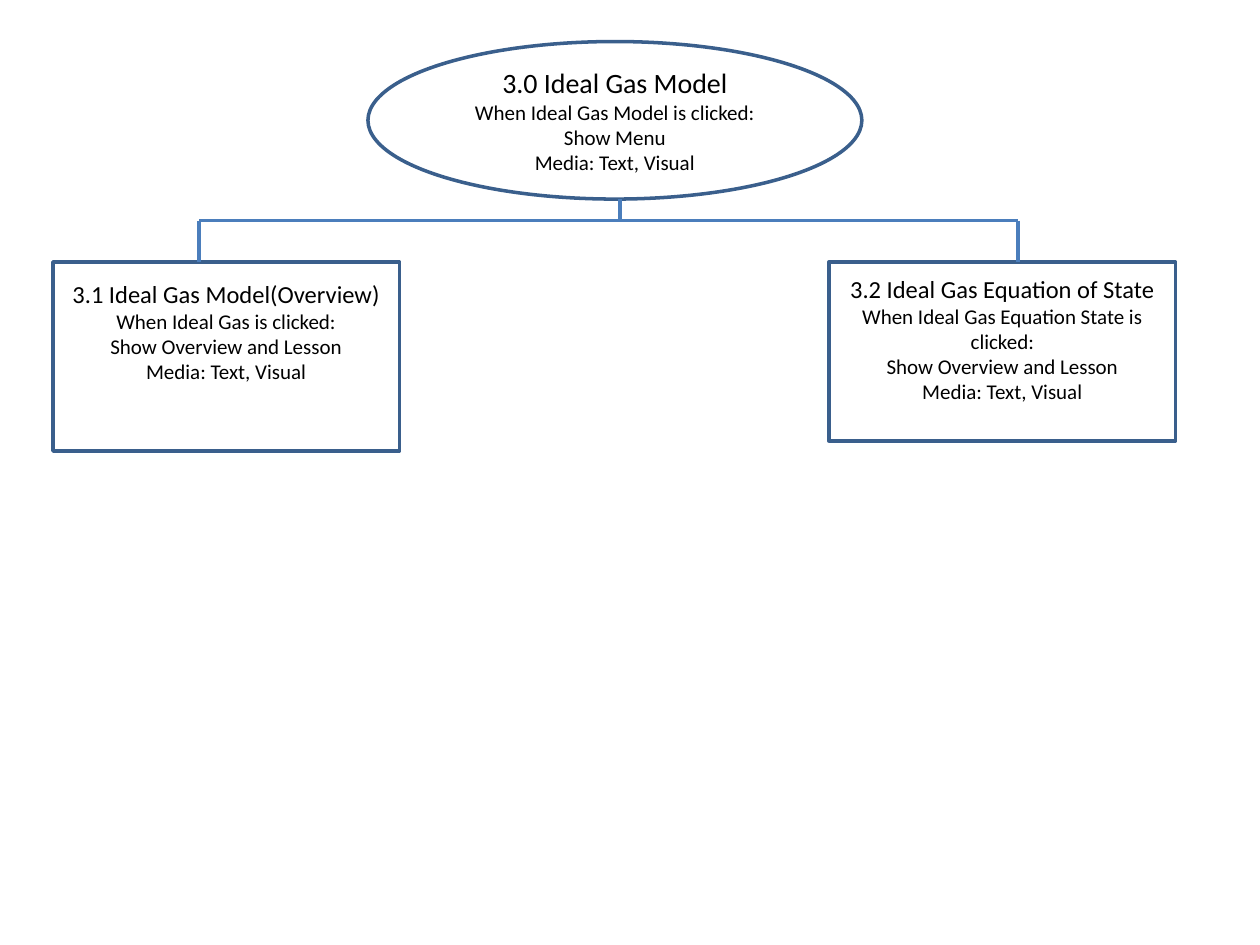
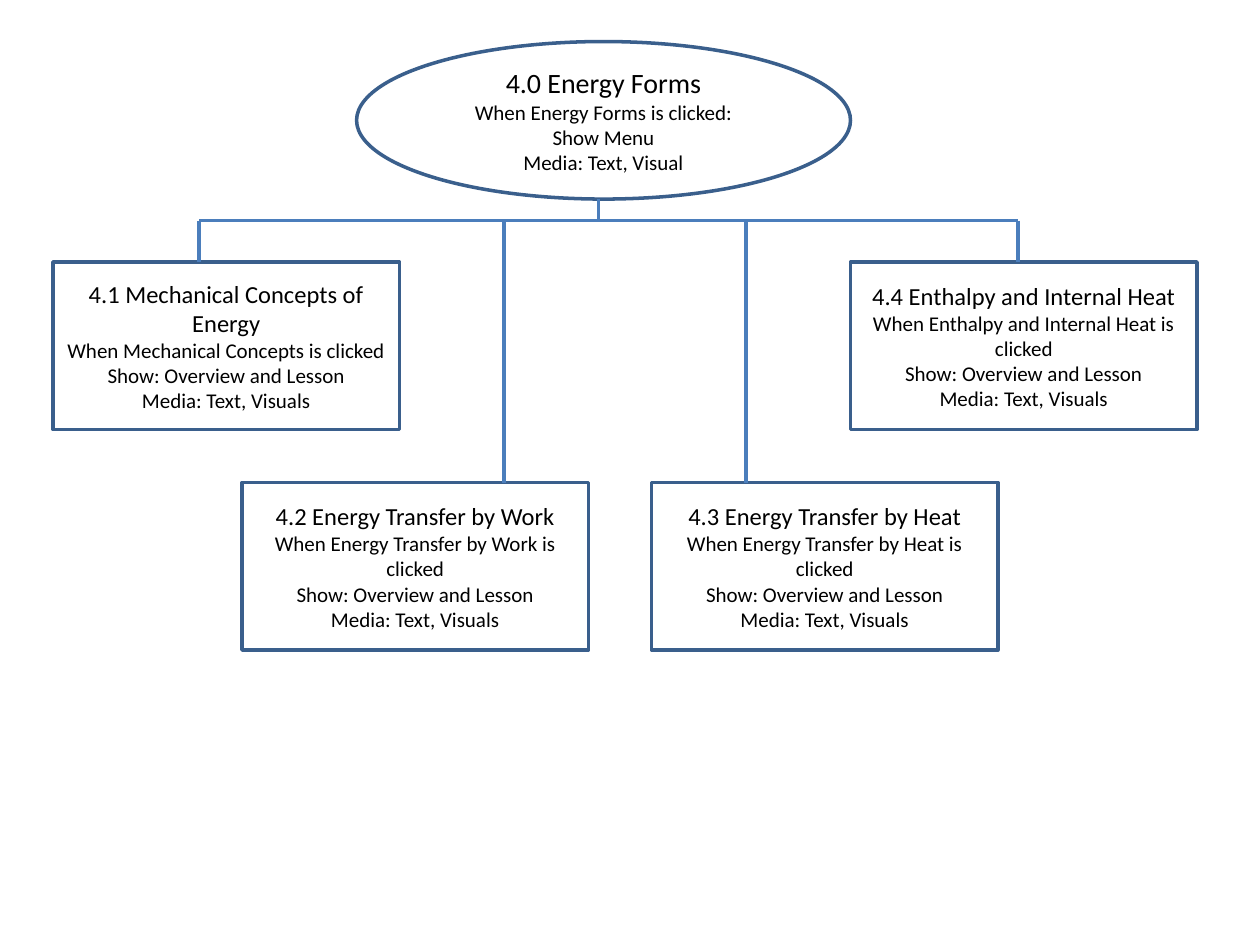
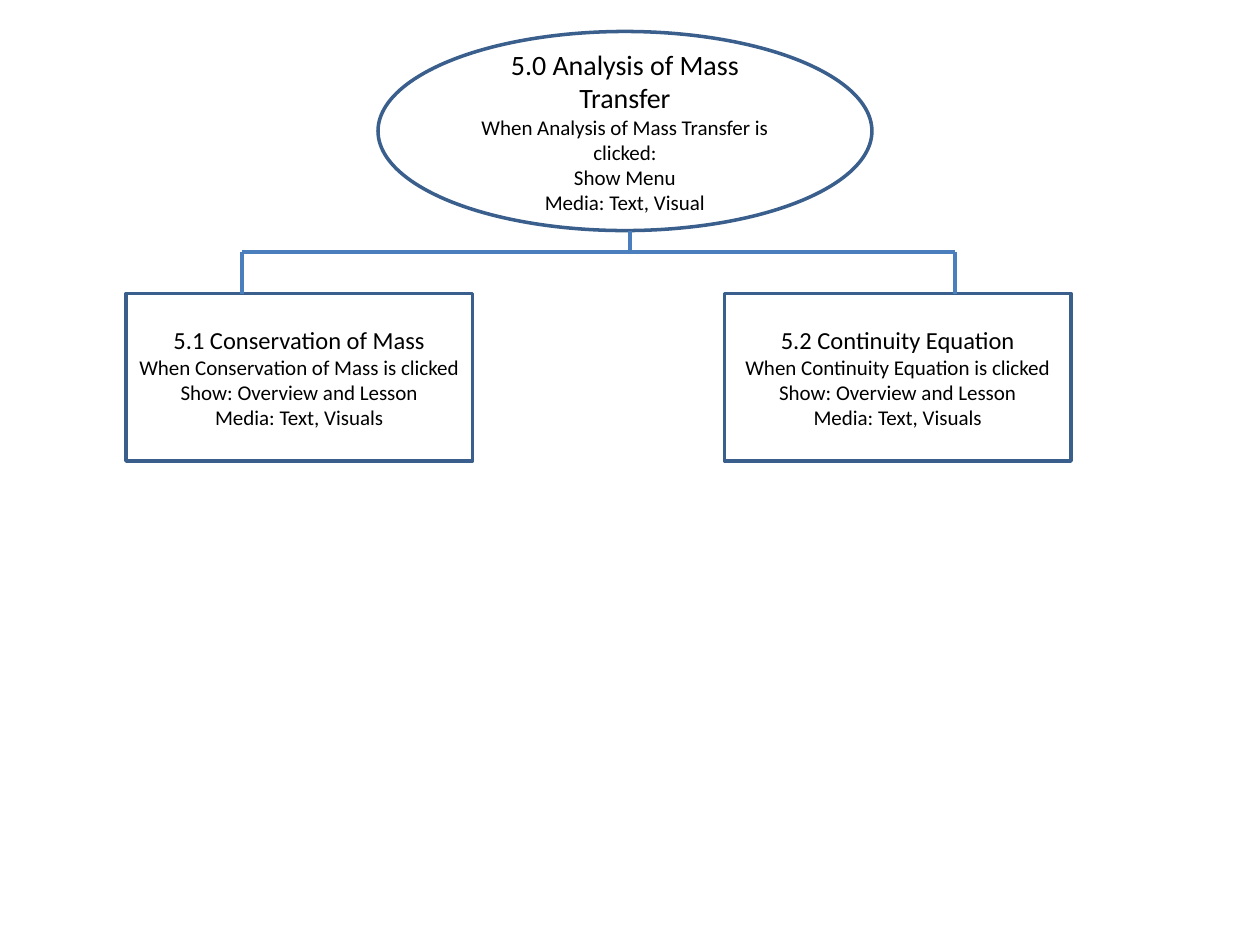
from dataclasses import dataclass

from lxml.etree import SubElement
from pptx import Presentation
from pptx.dml.color import RGBColor
from pptx.enum.shapes import MSO_CONNECTOR, MSO_SHAPE
from pptx.enum.text import MSO_ANCHOR, PP_ALIGN
from pptx.oxml.ns import qn
from pptx.util import Inches, Pt


@dataclass(frozen=True)
class Theme:
    """Colours, type sizes and shared measures of the flowcharts."""

    paper: RGBColor = RGBColor(0xFF, 0xFF, 0xFF)
    ink: RGBColor = RGBColor(0x00, 0x00, 0x00)
    outline: RGBColor = RGBColor(0x3A, 0x5F, 0x8C)
    branch: RGBColor = RGBColor(0x4B, 0x7E, 0xBC)
    font: str = "Calibri"
    menu_size: int = 16
    topic_size: int = 14
    detail_size: int = 12
    outline_width: float = 2
    branch_width: float = 2.25
    menu_width: float = 3.92
    topic_width: float = 2.75
    topic_height: float = 1.33
    text_line: float = 0.2
    bottom_inset: float = 0.05
    stem: float = 0.17


@dataclass(frozen=True)
class Menu:
    """The oval at the head of a chart, with the place of its stem."""

    left: float
    top: float
    height: float
    stem_x: float
    lines: tuple


@dataclass(frozen=True)
class Topic:
    """A box below the menu, with the place of its branch."""

    left: float
    top: float
    branch_x: float
    lines: tuple
    height: float = Theme.topic_height
    spare_lines: int = 0


def write_line(para, text, *, theme, size):
    """Write one centred line of text."""
    para.alignment = PP_ALIGN.CENTER
    span = para.add_run()
    span.text = text
    span.font.name = theme.font
    span.font.size = Pt(size)
    span.font.color.rgb = theme.ink


def lesson(title, name):
    """Return the four lines of a topic that opens a lesson."""
    return (title, f"When {name} is clicked", "Show: Overview and Lesson", "Media: Text, Visuals")


class Flowchart:
    """Draws menu flowcharts in one style, a page at a time."""

    def __init__(self, deck, theme):
        """Keep the deck and its style."""
        self.deck = deck
        self.theme = theme
        self.page = None

    def new_page(self):
        """Start a blank page."""
        self.page = self.deck.slides.add_slide(self.deck.slide_layouts[6])

    def node(self, preset, left, top, width, height, lines, title_size, spare_lines=0):
        """Draw an outlined shape with a title and details."""
        theme = self.theme
        box = self.page.shapes.add_shape(
            preset, Inches(left), Inches(top), Inches(width), Inches(height)
        )
        box.shadow.inherit = False
        box.fill.solid()
        box.fill.fore_color.rgb = theme.paper
        box.line.color.rgb = theme.outline
        box.line.width = Pt(theme.outline_width)
        frame = box.text_frame
        frame.word_wrap = True
        frame.vertical_anchor = MSO_ANCHOR.MIDDLE
        frame.margin_bottom = Inches(theme.bottom_inset + spare_lines * theme.text_line)
        for index, text in enumerate(lines):
            para = frame.add_paragraph() if index else frame.paragraphs[0]
            size = theme.detail_size if index else title_size
            write_line(para, text, theme=theme, size=size)

    def line(self, start_x, start_y, end_x, end_y):
        """Draw a straight branch line."""
        branch = self.page.shapes.add_connector(
            MSO_CONNECTOR.STRAIGHT,
            Inches(start_x), Inches(start_y), Inches(end_x), Inches(end_y),
        )
        branch.line.color.rgb = self.theme.branch
        branch.line.width = Pt(self.theme.branch_width)
        SubElement(branch._element.spPr, qn("a:effectLst"))

    def chart(self, menu, topics):
        """Draw a page with a menu, its topics and the lines between."""
        theme = self.theme
        self.new_page()
        self.node(MSO_SHAPE.OVAL, menu.left, menu.top, theme.menu_width, menu.height,
                  menu.lines, theme.menu_size)
        for topic in topics:
            self.node(MSO_SHAPE.RECTANGLE, topic.left, topic.top, theme.topic_width,
                      topic.height, topic.lines, theme.topic_size, topic.spare_lines)
        menu_bottom = menu.top + menu.height
        rail = menu_bottom + theme.stem
        self.line(topics[0].branch_x, rail, topics[-1].branch_x, rail)
        for topic in topics:
            self.line(topic.branch_x, rail, topic.branch_x, topic.top)
        self.line(menu.stem_x, menu_bottom, menu.stem_x, rail)


CHARTS = (
    (
        Menu(2.92, 0.33, 1.25, 4.92, (
            "3.0 Ideal Gas Model",
            "When Ideal Gas Model is clicked: Show Menu",
            "Media: Text, Visual",
        )),
        (
            Topic(0.42, 2.08, 1.58, (
                "3.1 Ideal Gas Model(Overview)",
                "When Ideal Gas is clicked:",
                "Show Overview and Lesson",
                "Media: Text, Visual",
            ), height=1.5, spare_lines=2),
            Topic(6.58, 2.08, 8.08, (
                "3.2 Ideal Gas Equation of State",
                "When Ideal Gas Equation State is clicked:",
                "Show Overview and Lesson",
                "Media: Text, Visual",
            ), height=1.42, spare_lines=1),
        ),
    ),
    (
        Menu(2.83, 0.33, 1.25, 4.75, (
            "4.0 Energy Forms",
            "When Energy Forms is clicked:",
            "Show Menu",
            "Media: Text, Visual",
        )),
        (
            Topic(0.42, 2.08, 1.58,
                  lesson("4.1 Mechanical Concepts of Energy", "Mechanical Concepts")),
            Topic(1.92, 3.83, 4,
                  lesson("4.2 Energy Transfer by Work", "Energy Transfer by Work")),
            Topic(5.17, 3.83, 5.92,
                  lesson("4.3 Energy Transfer by Heat", "Energy Transfer by Heat")),
            Topic(6.75, 2.08, 8.08,
                  lesson("4.4 Enthalpy and Internal Heat", "Enthalpy and Internal Heat")),
        ),
    ),
    (
        Menu(3, 0.25, 1.58, 5, (
            "5.0 Analysis of Mass Transfer",
            "When Analysis of Mass Transfer is clicked:",
            "Show Menu",
            "Media: Text, Visual",
        )),
        (
            Topic(1, 2.33, 1.92, lesson("5.1 Conservation of Mass", "Conservation of Mass")),
            Topic(5.75, 2.33, 7.58, lesson("5.2 Continuity Equation", "Continuity Equation")),
        ),
    ),
)


def main():
    """Build the deck and save it."""
    deck = Presentation()
    deck.slide_width = Inches(10)
    deck.slide_height = Inches(7.5)
    flowchart = Flowchart(deck, Theme())
    for menu, topics in CHARTS:
        flowchart.chart(menu, topics)
    deck.save("out.pptx")


if __name__ == "__main__":
    main()
